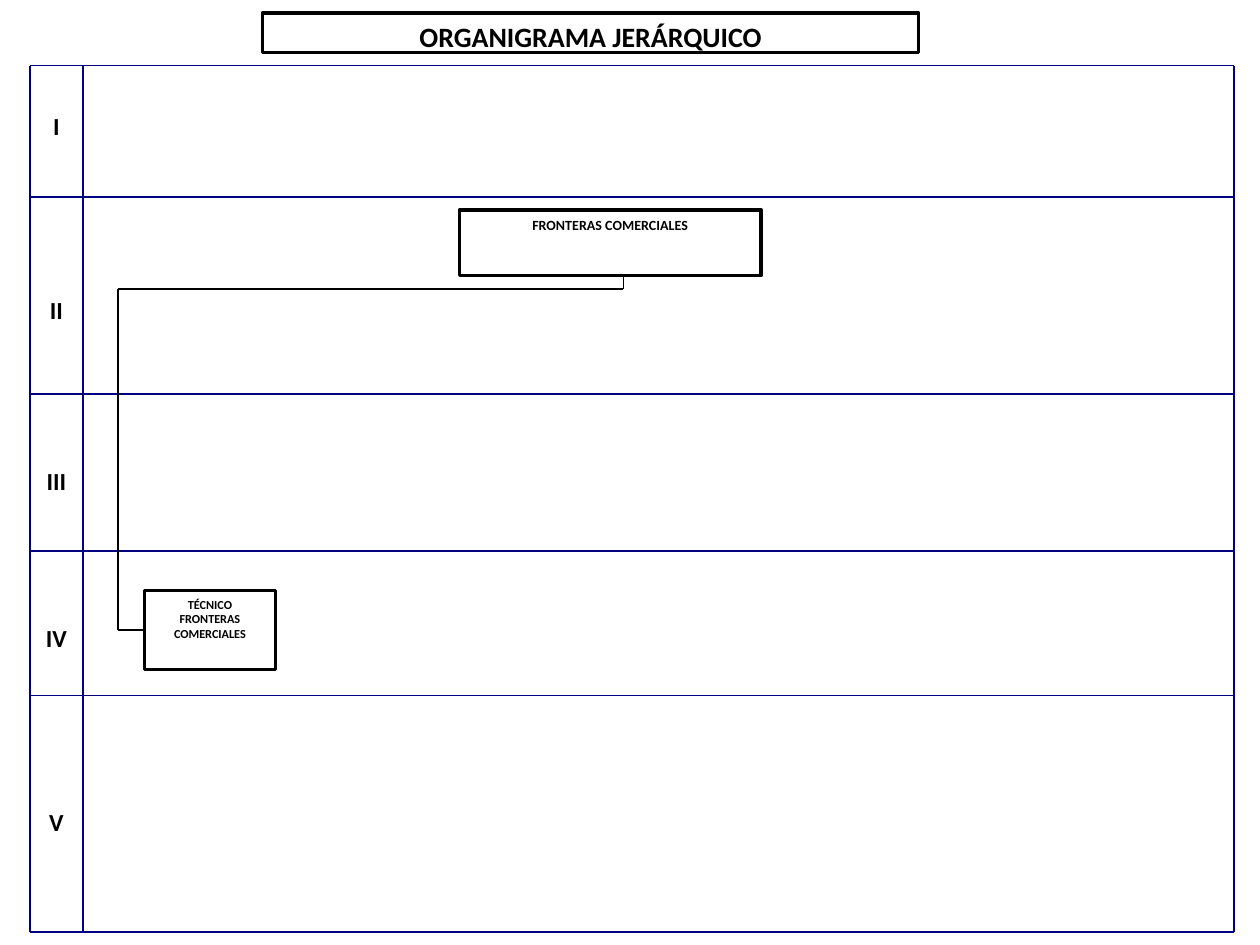
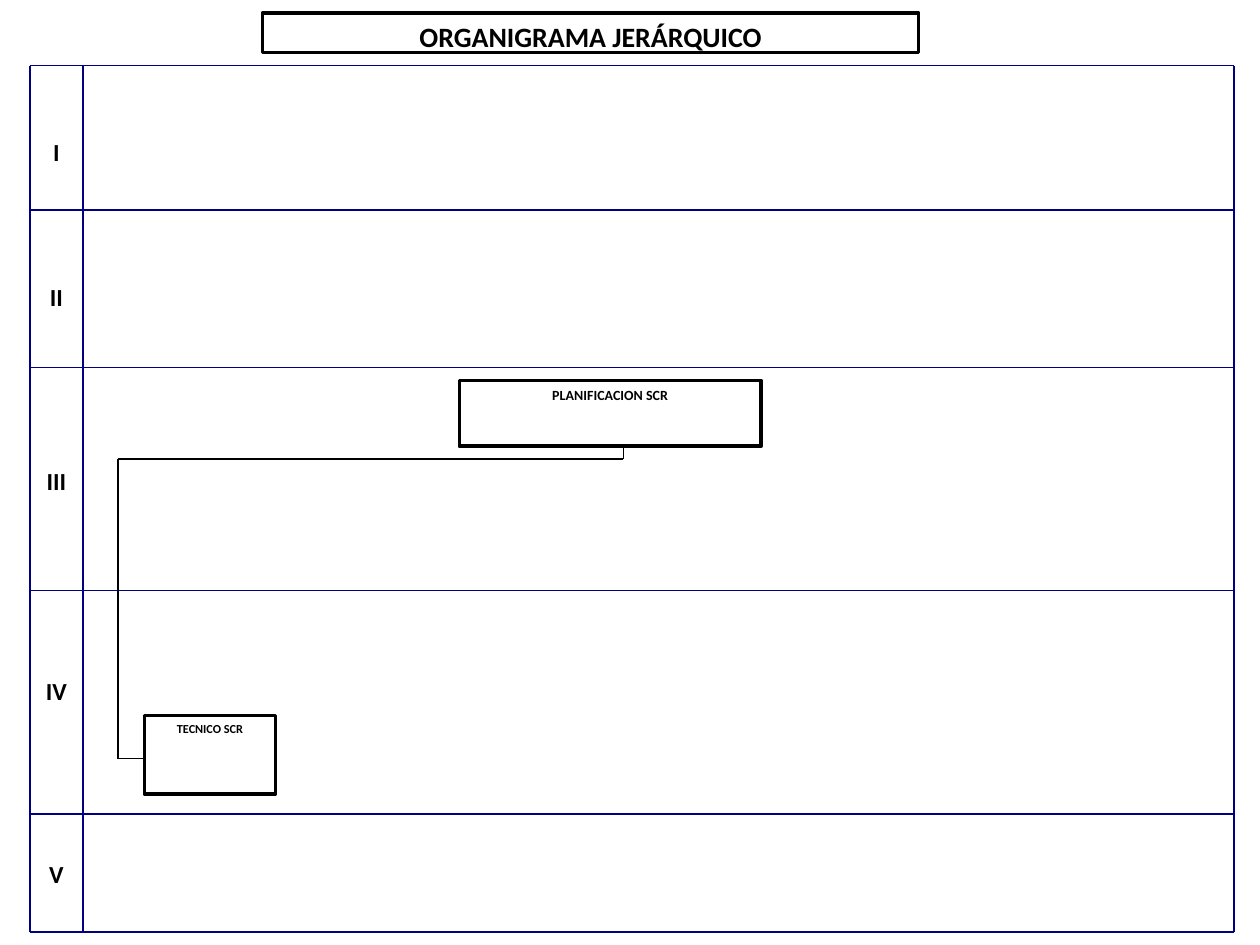
from lxml.etree import SubElement
from pptx import Presentation
from pptx.dml.color import RGBColor
from pptx.enum.shapes import MSO_CONNECTOR, MSO_SHAPE
from pptx.enum.text import MSO_ANCHOR, MSO_AUTO_SIZE, PP_ALIGN
from pptx.oxml.ns import qn
from pptx.util import Pt

BLACK = RGBColor(0x00, 0x00, 0x00)
NAVY = RGBColor(0x00, 0x00, 0x80)
TITLE_BOX = (150, 7.5, 375, 22.5)
FRAME_BOX = (17.25, 37.5, 687.75, 495)
LABEL_W, LABEL_H = 30, 22.5
UNIT_W, UNIT_H = 172.5, 37.5
POST_W, POST_H = 75, 45
DROP = 7.5
LEVELS = ("I", "II", "III", "IV", "V")
FRAME_FORMAT = {
    "word_wrap": True,
    "auto_size": MSO_AUTO_SIZE.NONE,
    "vertical_anchor": MSO_ANCHOR.TOP,
}
FONT_FORMAT = {"name": "Calibri", "bold": True}

SLIDES = (
    {
        "rules": (75, 187.5, 277.5, 360),
        "labels": (22.5, 127.5, 225, 315, 420),
        "unit": ("FRONTERAS COMERCIALES", 82.5),
        "post": ("TÉCNICO FRONTERAS COMERCIALES", 300),
        "branch": 322.5,
    },
    {
        "rules": (82.5, 172.5, 300, 427.5),
        "labels": (37.5, 120, 225, 345, 450),
        "unit": ("PLANIFICACION SCR", 180),
        "post": ("TECNICO SCR", 371.25),
        "branch": 396,
    },
)


def set_format(target, values):
    """Set each named attribute of the target."""
    for name, value in values.items():
        setattr(target, name, value)


def write(sp, text, size):
    """Put one centred bold line of text in a shape."""
    tf = sp.text_frame
    set_format(tf, FRAME_FORMAT)
    p = tf.paragraphs[0]
    p.alignment = PP_ALIGN.CENTER
    r = p.add_run()
    r.text = text
    set_format(r.font, FONT_FORMAT)
    r.font.size = Pt(size)
    r.font.color.rgb = BLACK


def add_box(s, box, text, size):
    """Add a black outlined rectangle with text."""
    sp = s.shapes.add_shape(MSO_SHAPE.RECTANGLE, *map(Pt, box))
    sp.shadow.inherit = False
    sp.fill.background()
    sp.line.color.rgb = BLACK
    sp.line.width = Pt(2)
    write(sp, text, size)
    return sp


def add_line(s, x1, y1, x2, y2, color):
    """Add a thin straight line between two points."""
    cx = s.shapes.add_connector(MSO_CONNECTOR.STRAIGHT, *map(Pt, (x1, y1, x2, y2)))
    cx.line.color.rgb = color
    cx.line.width = Pt(1)
    SubElement(cx._element.spPr, qn("a:effectLst"))
    return cx


def add_levels(s, box, rules, labels):
    """Draw the ruled frame and its column of level numerals."""
    x, y, w, h = box
    for dy in (0, *rules, h):
        add_line(s, x, y + dy, x + w, y + dy, NAVY)
    for dx in (0, LABEL_W, w):
        add_line(s, x + dx, y, x + dx, y + h, NAVY)
    for level, dy in zip(LEVELS, labels):
        tb = s.shapes.add_textbox(Pt(x), Pt(y + dy), Pt(LABEL_W), Pt(LABEL_H))
        write(tb, level, 14)


def add_hierarchy(s, box, unit, post, branch):
    """Draw the unit, the post below it and the lines between them."""
    x, y = box[:2]
    unit_text, unit_dy = unit
    post_text, post_dy = post
    trunk_x, post_x, unit_x, stem_x = (x + dx for dx in (50.25, 65.25, 245.25, 339))
    unit_bottom = y + unit_dy + UNIT_H
    bar_y, branch_y = unit_bottom + DROP, y + branch
    add_box(s, (unit_x, y + unit_dy, UNIT_W, UNIT_H), unit_text, 8)
    post_sp = add_box(s, (post_x, y + post_dy, POST_W, POST_H), post_text, 7)
    add_line(s, stem_x, unit_bottom, stem_x, bar_y, BLACK)
    add_line(s, trunk_x, bar_y, stem_x, bar_y, BLACK)
    add_line(s, trunk_x, bar_y, trunk_x, branch_y, BLACK)
    cx = add_line(s, trunk_x, branch_y, post_x, branch_y, BLACK)
    if branch == post_dy + POST_H / 2:
        cx.end_connect(post_sp, 1)


def add_chart_slide(prs, rules, labels, unit, post, branch):
    """Add one organisation chart slide."""
    s = prs.slides.add_slide(prs.slide_layouts[6])
    add_box(s, TITLE_BOX, "ORGANIGRAMA JERÁRQUICO", 16)
    add_levels(s, FRAME_BOX, rules, labels)
    add_hierarchy(s, FRAME_BOX, unit, post, branch)


def main():
    """Build and save the presentation."""
    prs = Presentation()
    set_format(prs, {"slide_width": Pt(720), "slide_height": Pt(540)})
    for content in SLIDES:
        add_chart_slide(prs, **content)
    prs.save("out.pptx")


if __name__ == "__main__":
    main()
